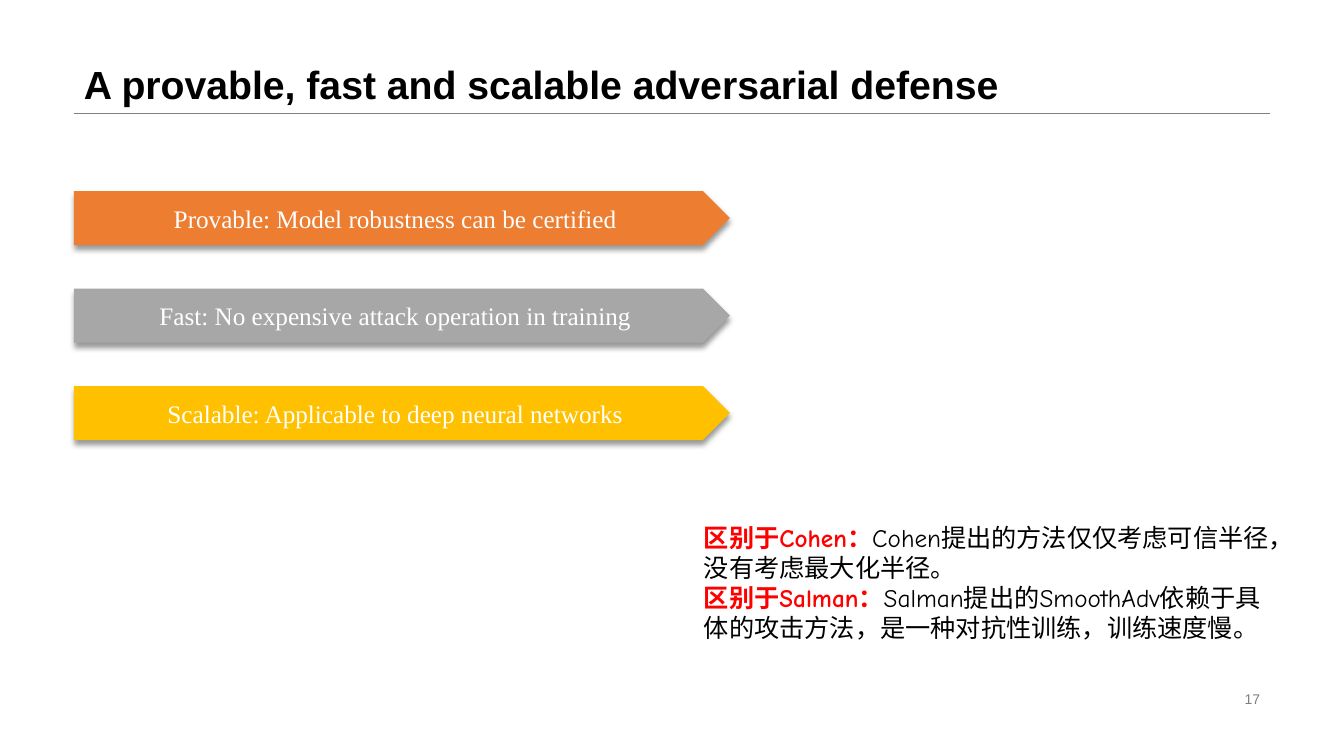
from lxml.etree import SubElement
from pptx import Presentation
from pptx.dml.color import RGBColor
from pptx.enum.lang import MSO_LANGUAGE_ID as LANG
from pptx.enum.shapes import MSO_CONNECTOR as CONN, MSO_SHAPE as SHAPE
from pptx.enum.text import MSO_ANCHOR as ANCHOR, MSO_AUTO_SIZE as FIT, PP_ALIGN as ALIGN
from pptx.oxml.ns import qn
from pptx.util import Pt

PX = 12192000 / 1344
C = {"black": "000000", "white": "FFFFFF", "red": "FF0000", "rule": "808080",
     "orange": "ED7D31", "gray": "A7A7A7", "gold": "FFC000"}
CLAIMS = [
    ("Provable: Model robustness can be certified", "orange"),
    ("Fast: No expensive attack operation in training", "gray"),
    ("Scalable: Applicable to deep neural networks", "gold"),
]
DIFFERENCES = [
    ("区别于Cohen：", "Cohen提出的方法仅仅考虑可信半径，没有考虑最大化半径。"),
    ("区别于Salman：", "Salman提出的SmoothAdv依赖于具体的攻击方法，是一种对抗性训练，训练速度慢。"),
]


def px(*lengths):
    return [round(n * PX) for n in lengths]


def rgb(name):
    return RGBColor.from_string(C[name])


def add_run(p, text, font, size, color, bold=False):
    r = p.add_run()
    r.text = text
    r.font.name = font
    r.font.size = Pt(size)
    r.font.bold = bold
    r.font.color.rgb = rgb(color)
    return r


def add_text_box(slide, box, anchor):
    tf = slide.shapes.add_textbox(*px(*box)).text_frame
    tf.word_wrap = True
    tf.vertical_anchor = anchor
    return tf


def add_shadow(sp):
    effects = SubElement(sp._element.spPr, qn("a:effectLst"))
    shadow = SubElement(effects, qn("a:outerShdw"), blurRad=str(Pt(4)), dist=str(Pt(3)),
                        dir="5400000", algn="t", rotWithShape="0")
    color = SubElement(shadow, qn("a:srgbClr"), val=C["black"])
    SubElement(color, qn("a:alpha"), val="40000")


def add_title(slide, box, text):
    x, y, w, h = box
    rule = slide.shapes.add_connector(CONN.STRAIGHT, *px(x, y + h, x + w, y + h))
    rule.line.color.rgb = rgb("rule")
    rule.line.width = Pt(0.25)
    SubElement(rule._element.spPr, qn("a:effectLst"))
    p = add_text_box(slide, box, ANCHOR.BOTTOM).paragraphs[0]
    p.line_spacing = 0.9
    add_run(p, text, "Arial", 28, "black", True)


def add_claims(slide, box):
    x, y, w, h = box
    plate_h = 54
    pitch = (h - plate_h) / (len(CLAIMS) - 1)
    for i, (text, color) in enumerate(CLAIMS):
        sp = slide.shapes.add_shape(SHAPE.PENTAGON, *px(x, y + i * pitch, w, plate_h))
        sp.fill.solid()
        sp.fill.fore_color.rgb = rgb(color)
        sp.line.fill.background()
        add_shadow(sp)
        tf = sp.text_frame
        tf.vertical_anchor = ANCHOR.MIDDLE
        p = tf.paragraphs[0]
        p.alignment = ALIGN.CENTER
        add_run(p, text, "Times New Roman", 18, "white")


def add_differences(slide, box):
    tf = add_text_box(slide, box, ANCHOR.TOP)
    tf.auto_size = FIT.SHAPE_TO_FIT_TEXT
    for i, (label, detail) in enumerate(DIFFERENCES):
        p = tf.add_paragraph() if i else tf.paragraphs[0]
        for text, color, bold in ((label, "red", True), (detail, "black", False)):
            r = add_run(p, text, "Comic Neue", 18, color, bold)
            r.font.language_id = LANG.SIMPLIFIED_CHINESE


def add_page_number(slide, box, number):
    p = add_text_box(slide, box, ANCHOR.MIDDLE).paragraphs[0]
    p.alignment = ALIGN.RIGHT
    add_run(p, number, "Arial", 10, "rule")


def main():
    prs = Presentation()
    prs.slide_width, prs.slide_height = px(1344, 756)
    slide = prs.slides.add_slide(prs.slide_layouts[6])
    add_title(slide, (74, 0, 1196, 113), "A provable, fast and scalable adversarial defense")
    add_page_number(slide, (949, 687, 321, 23), "17")
    add_claims(slide, (74, 191, 656, 249))
    add_differences(slide, (694, 517, 594, 132))
    prs.save("out.pptx")


if __name__ == "__main__":
    main()
